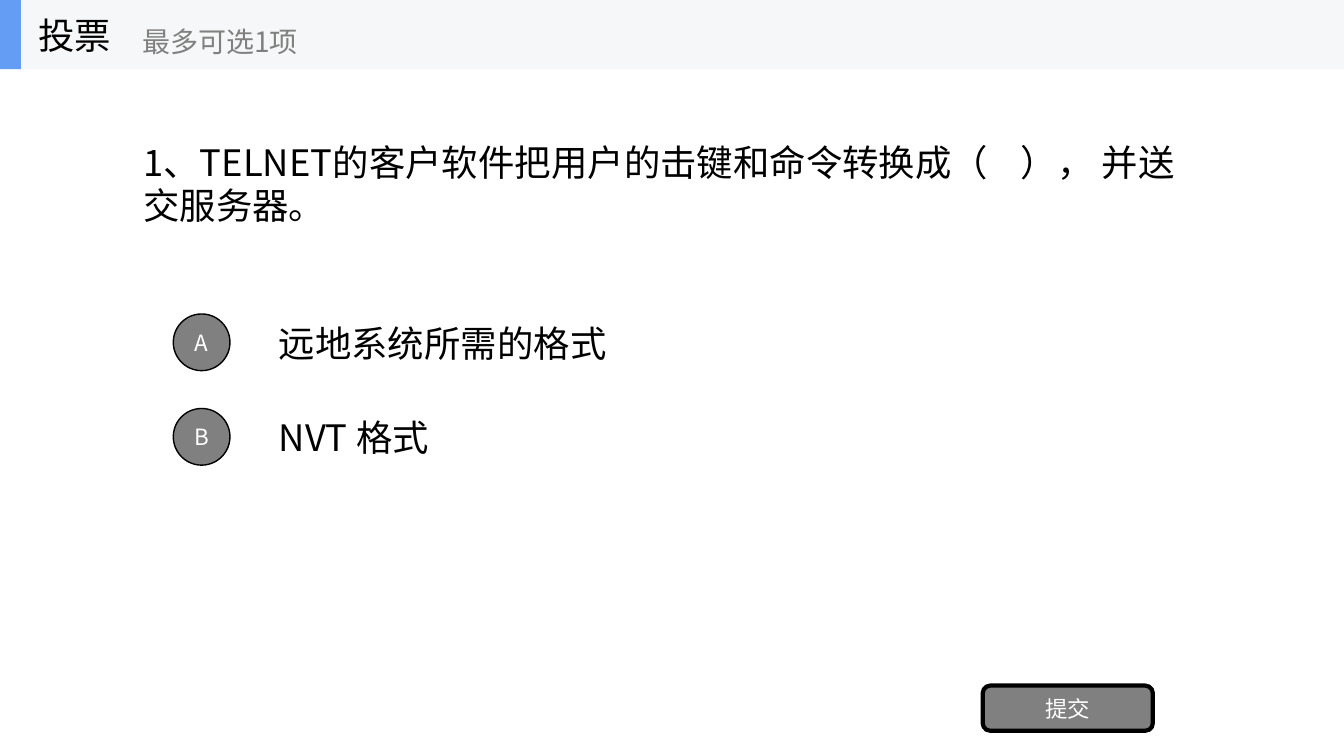
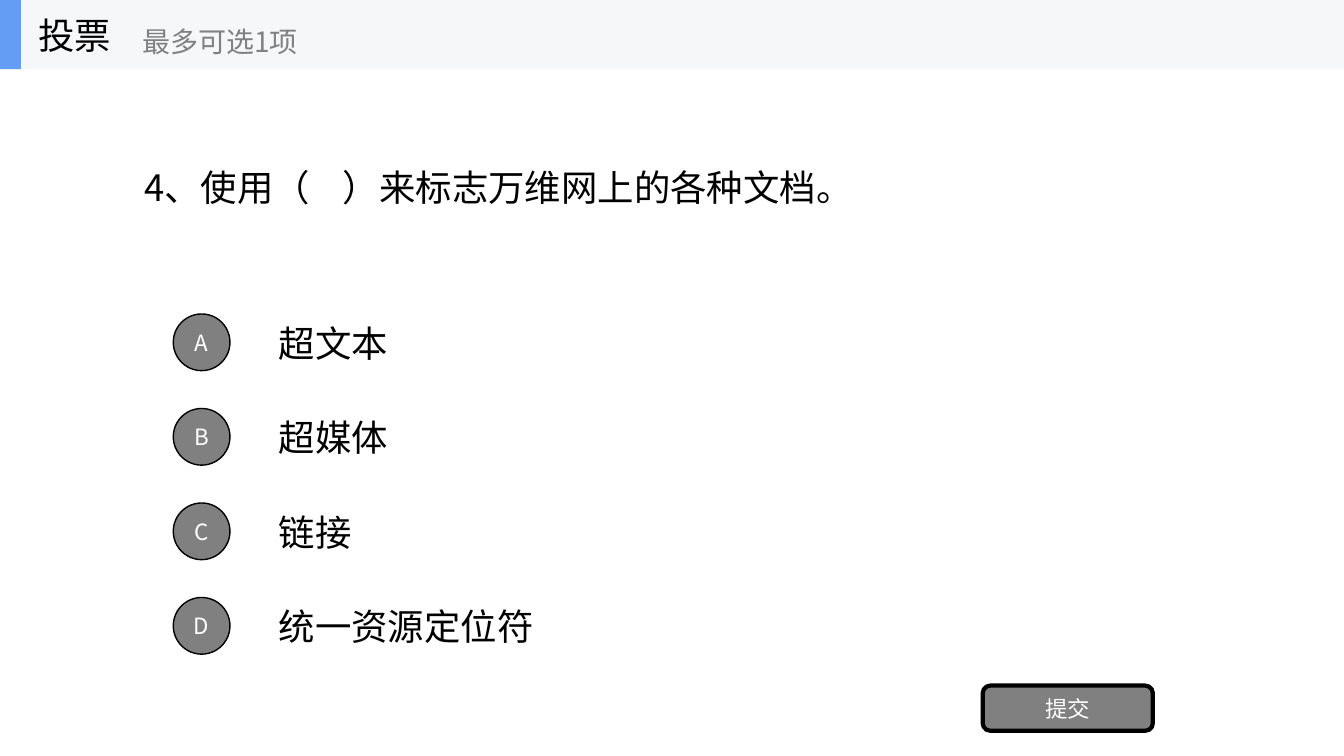
from lxml import etree
from pptx import Presentation
from pptx.dml.color import RGBColor
from pptx.enum.shapes import MSO_SHAPE
from pptx.enum.text import MSO_ANCHOR, PP_ALIGN
from pptx.oxml.ns import qn
from pptx.util import Emu, Pt

PX = 9525
WIDTH, HEIGHT = 1280, 720
FONT = "Noto Sans CJK SC"

BLACK = RGBColor(0x00, 0x00, 0x00)
WHITE = RGBColor(0xFF, 0xFF, 0xFF)
GRAY = RGBColor(0x80, 0x80, 0x80)
BAND = RGBColor(0xF6, 0xF7, 0xF8)
ACCENT = RGBColor(0x63, 0x9E, 0xF4)

RECT = MSO_SHAPE.RECTANGLE
ROUND_RECT = MSO_SHAPE.ROUNDED_RECTANGLE
OVAL = MSO_SHAPE.OVAL
MIDDLE = MSO_ANCHOR.MIDDLE
LEFT, CENTER = PP_ALIGN.LEFT, PP_ALIGN.CENTER

BODY = {"size": Pt(26), "color": BLACK}
HINT = {"size": Pt(20), "color": GRAY}
LABEL = {"size": Pt(16), "color": WHITE}

HEADER_H = 66
OPTION_TOP, OPTION_H, OPTION_PITCH = 293, 67, 90
MARK = 54

POLLS = [
    {
        "box": (127, 115, 1024, 119),
        "question": "1、TELNET的客户软件把用户的击键和命令转换成（    ）， 并送交服务器。",
        "options": ["远地系统所需的格式", "NVT 格式"],
    },
    {
        "box": (128, 66, 1024, 225),
        "question": "4、使用（    ）来标志万维网上的各种文档。",
        "options": ["超文本", "超媒体", "链接", "统一资源定位符"],
    },
]


def emu(box):
    """Convert a box in px to EMU lengths."""
    return [Emu(v * PX) for v in box]


def write(sp, text, style, align=LEFT):
    """Put one styled, vertically centred paragraph into a shape."""
    tf = sp.text_frame
    tf.word_wrap = True
    tf.vertical_anchor = MIDDLE
    p = tf.paragraphs[0]
    p.alignment = align
    r = p.add_run()
    r.text = text
    for name, value in {"name": FONT, "size": style["size"]}.items():
        setattr(r.font, name, value)
    r.font.color.rgb = style["color"]
    etree.SubElement(r.font._element, qn("a:ea"), typeface=FONT)


def add_text(shapes, box, text, style):
    """Add a left-aligned text box."""
    write(shapes.add_textbox(*emu(box)), text, style)


def add_block(shapes, kind, box, fill, line=None):
    """Add a filled shape, with a black outline if a width is given."""
    sp = shapes.add_shape(kind, *emu(box))
    sp.shadow.inherit = False
    sp.fill.solid()
    sp.fill.fore_color.rgb = fill
    if line is None:
        sp.line.fill.background()
    else:
        sp.line.color.rgb = BLACK
        sp.line.width = Pt(line)
    return sp


def add_button(shapes, kind, box, text, line):
    """Add a gray outlined button with a centred label."""
    sp = add_block(shapes, kind, box, GRAY, line)
    tf = sp.text_frame
    for side in ("left", "right", "top", "bottom"):
        setattr(tf, f"margin_{side}", 0)
    write(sp, text, LABEL, CENTER)


def add_header(slide):
    """Add the grouped title band."""
    shapes = slide.shapes.add_group_shape().shapes
    add_block(shapes, RECT, (0, 0, WIDTH, HEADER_H), BAND)
    add_block(shapes, RECT, (0, 0, 20, HEADER_H), ACCENT)
    add_text(shapes, (27, 0, 200, HEADER_H), "投票", BODY)
    add_text(shapes, (126, 12, 240, 54), "最多可选1项", HINT)


def add_options(shapes, options):
    """Add the lettered answers at an even pitch."""
    for i, (letter, text) in enumerate(zip("ABCD", options)):
        top = OPTION_TOP + i * OPTION_PITCH
        add_text(shapes, (256, top, 896, OPTION_H), text, BODY)
        mark_top = top + (OPTION_H - MARK) // 2
        add_button(shapes, OVAL, (165, mark_top, MARK, MARK), letter, 1)


def add_poll(prs, poll):
    """Add one poll slide."""
    slide = prs.slides.add_slide(prs.slide_layouts[6])
    add_text(slide.shapes, poll["box"], poll["question"], BODY)
    add_options(slide.shapes, poll["options"])
    add_button(slide.shapes, ROUND_RECT, (936, 653, 162, 43), "提交", 3)
    add_header(slide)


def main():
    """Build and save the presentation."""
    prs = Presentation()
    prs.slide_width, prs.slide_height = emu((WIDTH, HEIGHT))
    for poll in POLLS:
        add_poll(prs, poll)
    prs.save("out.pptx")


if __name__ == "__main__":
    main()
